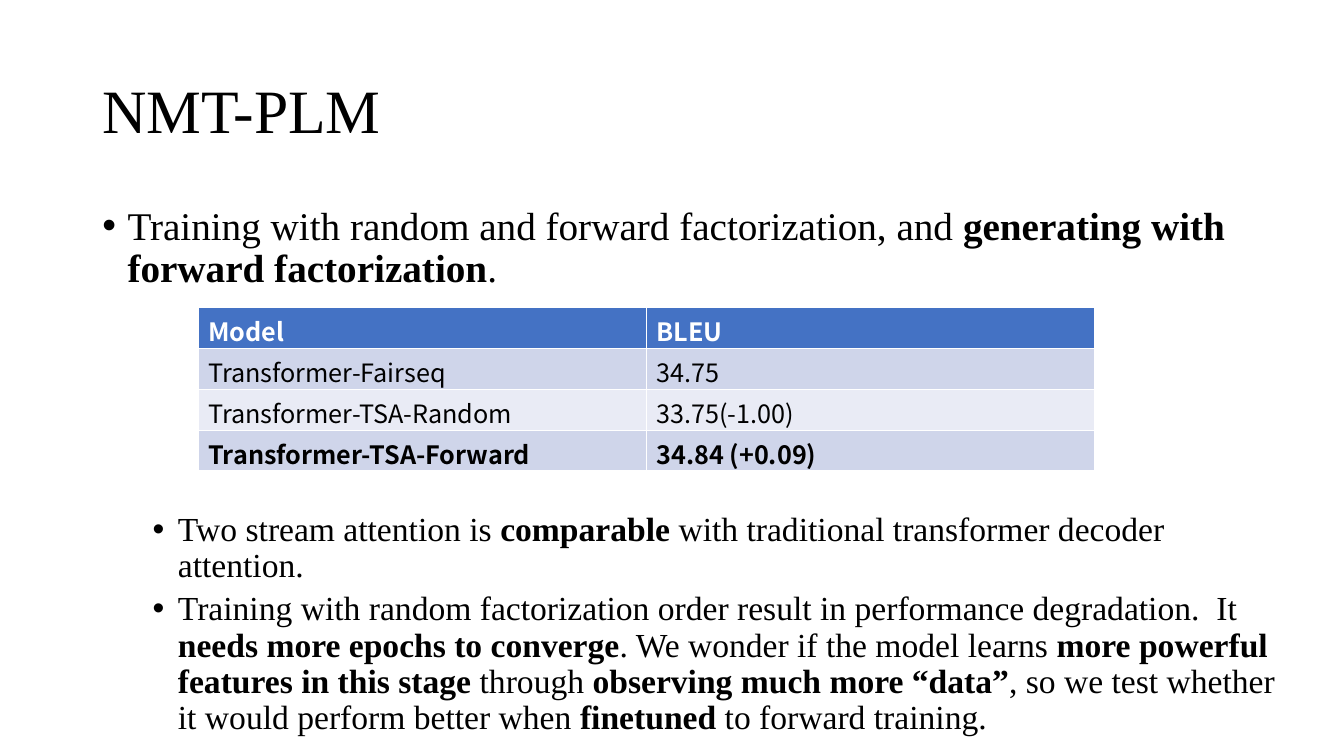
from lxml import etree
from pptx import Presentation
from pptx.dml.color import RGBColor
from pptx.enum.text import MSO_ANCHOR
from pptx.oxml.ns import qn
from pptx.util import Cm, Pt

MIDDLE = MSO_ANCHOR.MIDDLE
BLACK = RGBColor(0x00, 0x00, 0x00)
WHITE = RGBColor(0xFF, 0xFF, 0xFF)
BLUE = RGBColor(0x44, 0x72, 0xC4)
BANDS = [RGBColor(0xCF, 0xD5, 0xEA), RGBColor(0xE9, 0xEB, 0xF5)]
SERIF = "Times New Roman"
SANS = "Noto Sans CJK SC"

# Plain and bold pieces take turns, starting with plain.
SETUP = [
    "Training with random and forward factorization, and ",
    "generating with forward factorization",
    ".",
]
STREAM = [
    "Two stream attention is ",
    "comparable",
    " with traditional transformer decoder attention.",
]
ORDER = [
    "Training with random factorization order result in performance degradation.  It ",
    "needs more epochs to converge",
    ". We wonder if the model learns ",
    "more powerful features in this stage ",
    "through ",
    "observing much more “data”",
    ", so we test whether it would perform better when ",
    "finetuned",
    " to forward training.",
]
SCORES = [
    ("Model", "BLEU"),
    ("Transformer-Fairseq", "34.75"),
    ("Transformer-TSA-Random", "33.75(-1.00)"),
    ("Transformer-TSA-Forward", "34.84 (+0.09)"),
]


def style(run, name, size, color=BLACK, bold=False):
    font = run.font
    font.name = name
    font.size = Pt(size)
    font.bold = bold
    font.color.rgb = color


def add_box(slide, left, top, width, height):
    box = slide.shapes.add_textbox(Cm(left), Cm(top), Cm(width), Cm(height))
    box.text_frame.word_wrap = True
    return box.text_frame


def add_title(slide, text):
    frame = add_box(slide, 2.33, 1.02, 29.21, 3.68)
    frame.vertical_anchor = MIDDLE
    frame.text = text
    para = frame.paragraphs[0]
    para.line_spacing = 0.9
    style(para.runs[0], SERIF, 44)


def fill_bullet(para, parts, size, left, before):
    """Write alternating plain and bold parts with a hanging bullet."""
    para.line_spacing = 0.9
    para.space_before = Pt(before)
    for i, part in enumerate(parts):
        run = para.add_run()
        run.text = part
        style(run, SERIF, size, bold=i % 2 == 1)
    props = para._p.get_or_add_pPr()
    props.set("marL", str(Cm(left)))
    props.set("indent", str(-Cm(0.635)))
    etree.SubElement(props, qn("a:buFont")).set("typeface", "Arial")
    etree.SubElement(props, qn("a:buChar")).set("char", "•")


def add_body(slide):
    frame = add_box(slide, 2.33, 5.08, 30.61, 14.6)
    fill_bullet(frame.paragraphs[0], SETUP, 28, 0.635, 10)
    # The wide space before the second bullet leaves room for the table.
    for parts, before in [(STREAM, 158), (ORDER, 5)]:
        para = frame.add_paragraph()
        para.level = 1
        fill_bullet(para, parts, 24, 1.905, before)


def add_scores(slide):
    rows, cols = len(SCORES), len(SCORES[0])
    table = slide.shapes.add_table(
        rows, cols, Cm(5), Cm(7.75), Cm(22.58), Cm(4.12)
    ).table
    for r, row in enumerate(SCORES):
        head = r == 0
        for c, text in enumerate(row):
            cell = table.cell(r, c)
            cell.fill.solid()
            cell.fill.fore_color.rgb = BLUE if head else BANDS[(r - 1) % 2]
            cell.text = text
            run = cell.text_frame.paragraphs[0].runs[0]
            style(run, SANS, 18, WHITE if head else BLACK, r in (0, rows - 1))


def main():
    deck = Presentation()
    deck.slide_width = Cm(33.87)
    deck.slide_height = Cm(19.05)
    slide = deck.slides.add_slide(deck.slide_layouts[6])
    add_title(slide, "NMT-PLM")
    add_body(slide)
    add_scores(slide)
    deck.save("out.pptx")


if __name__ == "__main__":
    main()
